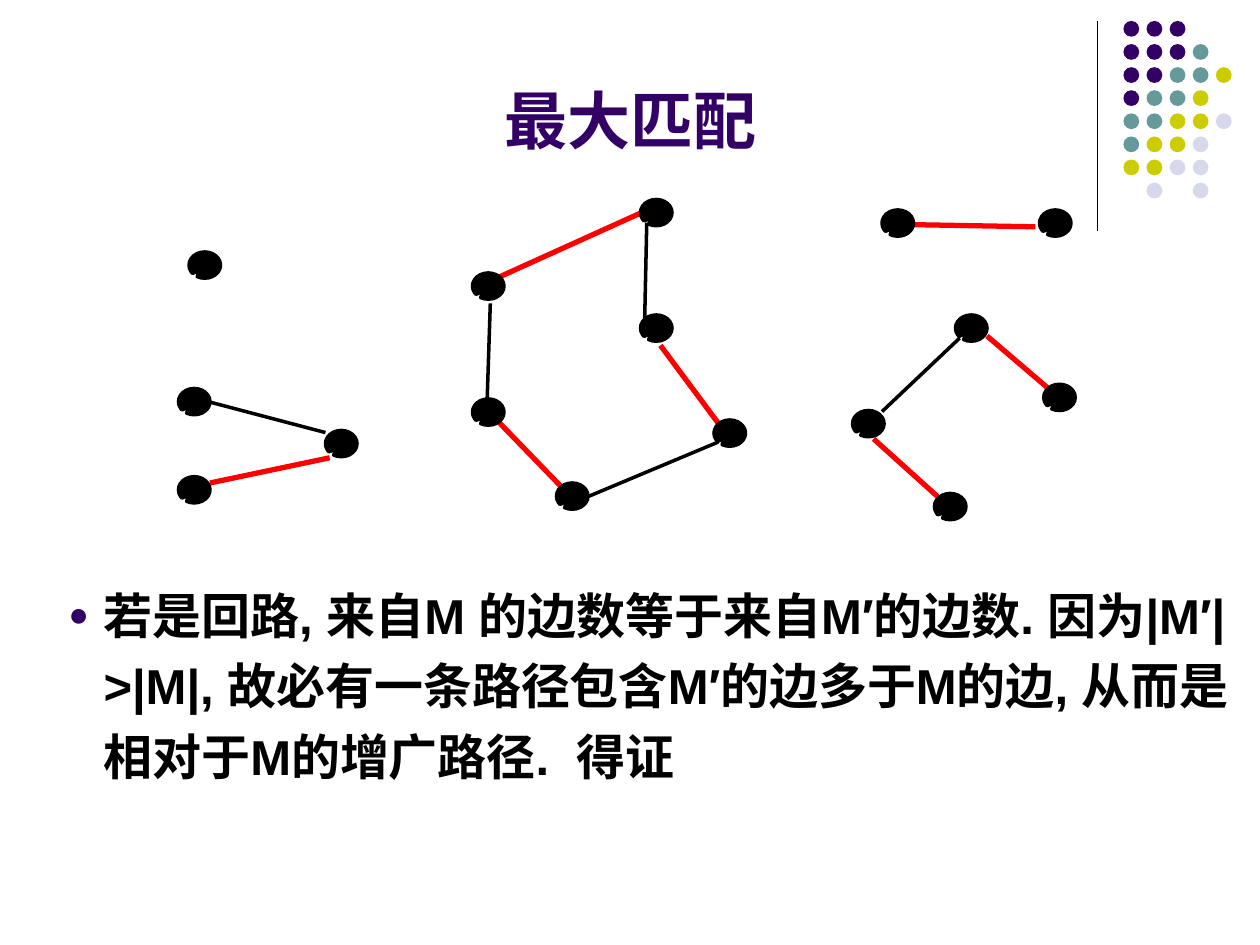
from lxml import etree
from pptx import Presentation
from pptx import util as u
from pptx.dml.color import RGBColor
from pptx.enum import lang, shapes, text
from pptx.oxml.ns import qn

COLORS = {"purple": "330066", "teal": "669999", "olive": "CCCC00",
          "lavender": "D8D8EC", "black": "000000", "red": "FF0000"}
DOT_COLORS = {"P": "purple", "T": "teal", "O": "olive", "L": "lavender"}
DOT_ROWS = ["PPP", "PPPT", "PPTTO", "PTTO", "TTOOL", "TOOL", "OOLL", " L L"]
COLS, ROWS = 120, 90
DOT_PITCH, DOT_SIZE = 2.2, 1.5

VERTICES = [(17, 45.4), (31, 41), (17, 37), (18, 24), (45, 26), (61, 19),
            (61, 30), (45, 38), (99, 20), (84, 20), (68, 40), (53, 46),
            (99.4, 36.6), (89, 47), (91, 30), (81.2, 39.1)]
PLAIN_EDGES = [(20, 38.3, 31, 41.2), (46.7, 28.9, 46.4, 38),
               (61.6, 21.2, 61.4, 30.4), (68.4, 42.1, 56, 47.3),
               (84, 39.2, 91.4, 32.2)]
MATCHED_EDGES = [(20, 46, 31.4, 43.6), (98.6, 21.6, 87, 21.4),
                 (62.9, 32.9, 68.4, 40.3), (47.5, 26.4, 61, 20.3),
                 (47.5, 40.2, 53.4, 46.3), (83.2, 41.8, 89.3, 47.3),
                 (100.2, 37.3, 94, 32)]


def rgb(name):
    """Return the named colour."""
    return RGBColor.from_string(COLORS[name])


def grid(*cells):
    """Turn alternating column and row counts into lengths."""
    units = u.Inches(10) / COLS, u.Inches(7.5) / ROWS
    return [u.Emu(round(c * units[i % 2])) for i, c in enumerate(cells)]


def add_line(s, ends, color, width):
    """Draw a straight line between two grid points."""
    sp = s.shapes.add_connector(shapes.MSO_CONNECTOR.STRAIGHT, *grid(*ends))
    sp.line.color.rgb = rgb(color)
    sp.line.width = u.Pt(width)
    etree.SubElement(sp._element.spPr, qn("a:effectLst"))


def add_shape(s, kind, cells, color, outline=None):
    """Draw a filled preset shape on the grid."""
    sp = s.shapes.add_shape(kind, *grid(*cells))
    sp.shadow.inherit = False
    sp.fill.solid()
    sp.fill.fore_color.rgb = rgb(color)
    if outline:
        sp.line.color.rgb = rgb(color)
        sp.line.width = u.Pt(outline)
    else:
        sp.line.fill.background()
    return sp


def add_dots(s):
    """Draw the corner pattern of dots."""
    for row, marks in enumerate(DOT_ROWS):
        for col, mark in enumerate(marks):
            if mark != " ":
                add_shape(s, shapes.MSO_SHAPE.OVAL,
                          (107 + col * DOT_PITCH, 2 + row * DOT_PITCH,
                           DOT_SIZE, DOT_SIZE), DOT_COLORS[mark])


def add_vertex(s, col, row):
    """Draw one graph vertex."""
    sp = add_shape(s, shapes.MSO_SHAPE.OVAL_CALLOUT, (col, row, 3, 2.5),
                   "black", outline=2)
    sp.adjustments[0], sp.adjustments[1] = -0.15, 0.18


def set_text(sp, words, cells, size, color, align, anchor):
    """Place a placeholder and fill it with formatted text."""
    sp.left, sp.top, sp.width, sp.height = grid(*cells)
    tf = sp.text_frame
    tf.word_wrap = True
    tf.auto_size = text.MSO_AUTO_SIZE.NONE
    tf.vertical_anchor = anchor
    p = tf.paragraphs[0]
    p.alignment = align
    r = p.add_run()
    r.text = words
    r.font.name, r.font.size, r.font.bold = "Arial", u.Pt(size), True
    r.font.color.rgb = rgb(color)
    r.font.language_id = lang.MSO_LANGUAGE_ID.SIMPLIFIED_CHINESE
    return p


def set_bullet(p, char, color, percent, indent):
    """Give a paragraph a coloured bullet with a hanging indent."""
    pPr = p._p.get_or_add_pPr()
    pPr.set("marL", str(u.Inches(indent)))
    pPr.set("indent", str(-u.Inches(indent)))
    clr = etree.SubElement(pPr, qn("a:buClr"))
    etree.SubElement(clr, qn("a:srgbClr"), val=COLORS[color])
    etree.SubElement(pPr, qn("a:buSzPct"), val=str(percent * 1000))
    etree.SubElement(pPr, qn("a:buFont"), typeface="Arial")
    etree.SubElement(pPr, qn("a:buChar"), char=char)


def main():
    """Build the slide and save it."""
    prs = Presentation()
    prs.slide_width, prs.slide_height = u.Inches(10), u.Inches(7.5)
    s = prs.slides.add_slide(prs.slide_layouts[1])
    title, body = s.placeholders
    set_text(title, "最大匹配", (0, 5.6, COLS, 10), 36, "purple",
             text.PP_ALIGN.CENTER, text.MSO_ANCHOR.BOTTOM)
    p = set_text(body, "若是回路, 来自M 的边数等于来自M′的边数. 因为|M′| >|M|, "
                 "故必有一条路径包含M′的边多于M的边, 从而是相对于M的增广路径.  得证",
                 (5.3, 54, 114.7, 32), 28, "black",
                 text.PP_ALIGN.LEFT, text.MSO_ANCHOR.TOP)
    p.line_spacing, p.space_before = 1.2, u.Pt(5.6)
    set_bullet(p, "●", "purple", 70, 0.28)

    add_line(s, (104.5, 2, 104.5, 22), "black", 0.75)
    add_dots(s)
    for ends in PLAIN_EDGES:
        add_line(s, ends, "black", 2)
    for ends in MATCHED_EDGES:
        add_line(s, ends, "red", 3)
    for col, row in VERTICES:
        add_vertex(s, col, row)
    prs.save("out.pptx")


if __name__ == "__main__":
    main()
